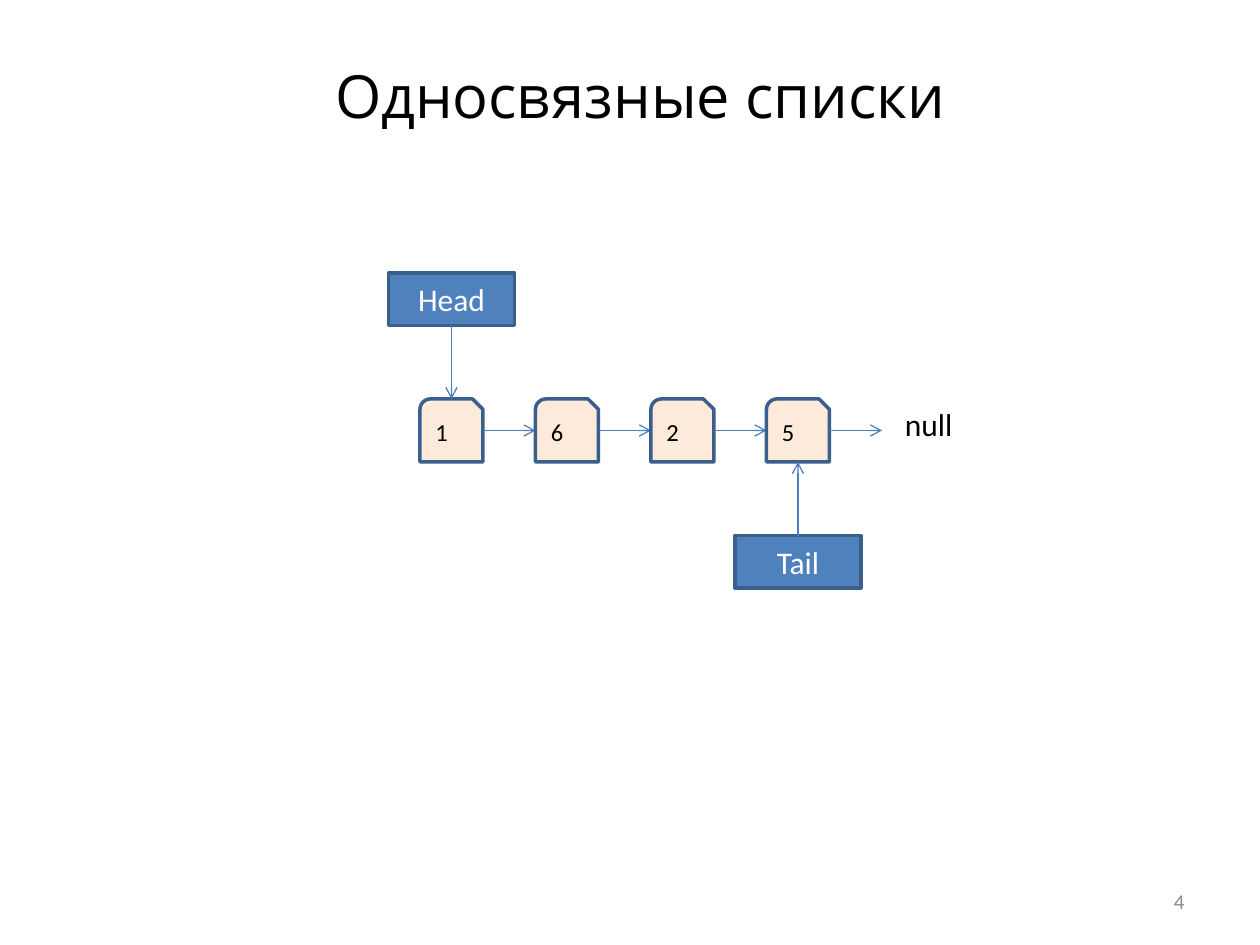
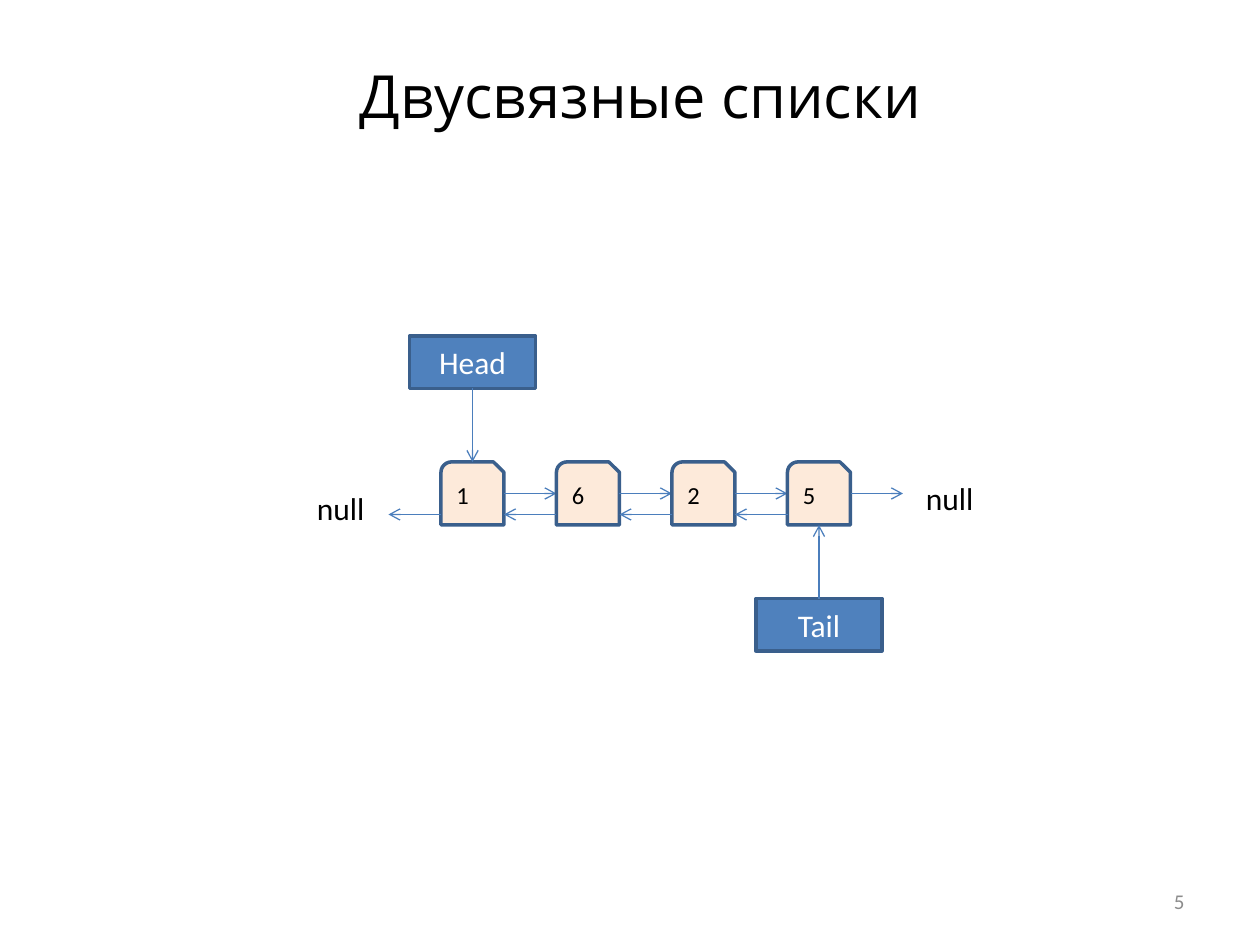
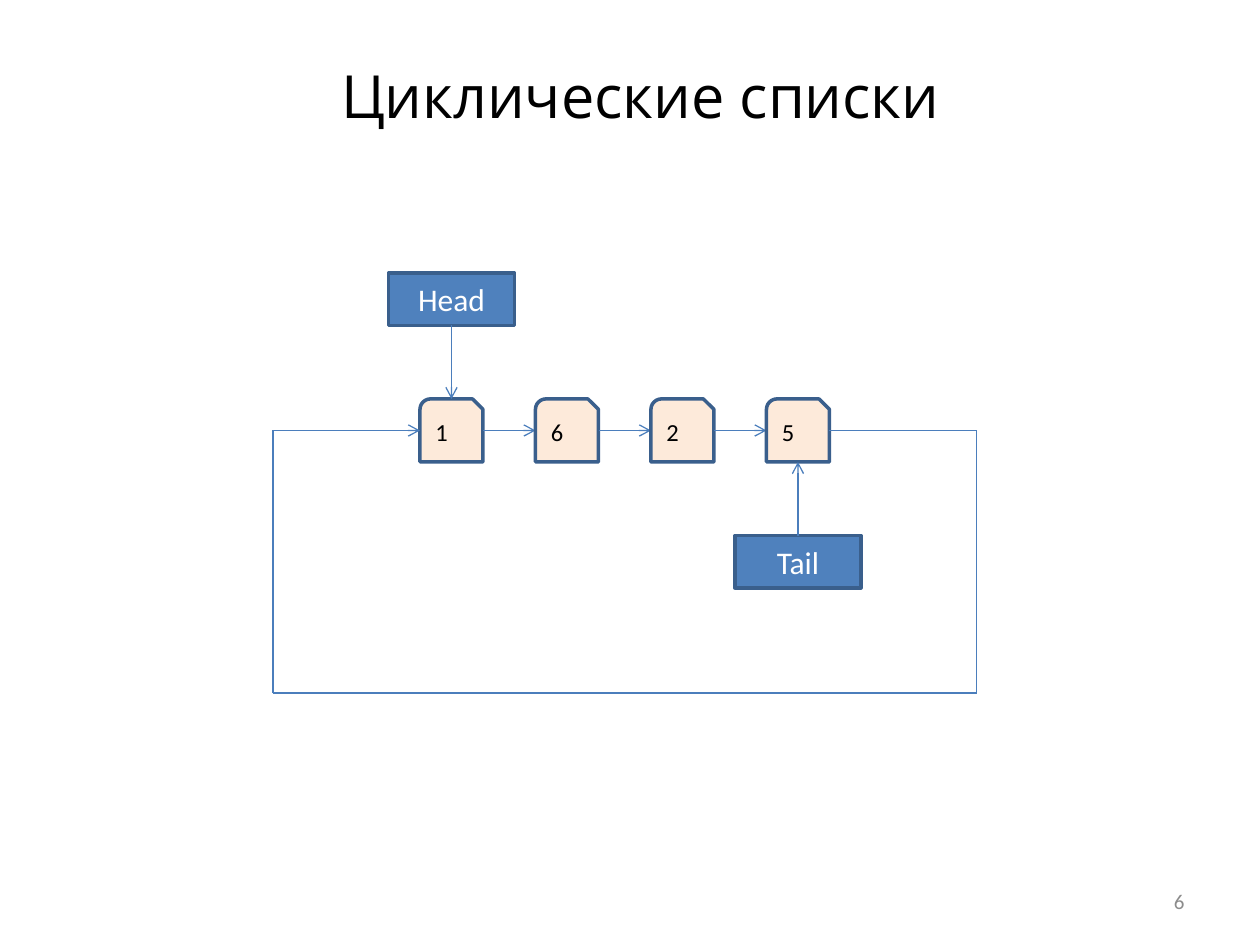
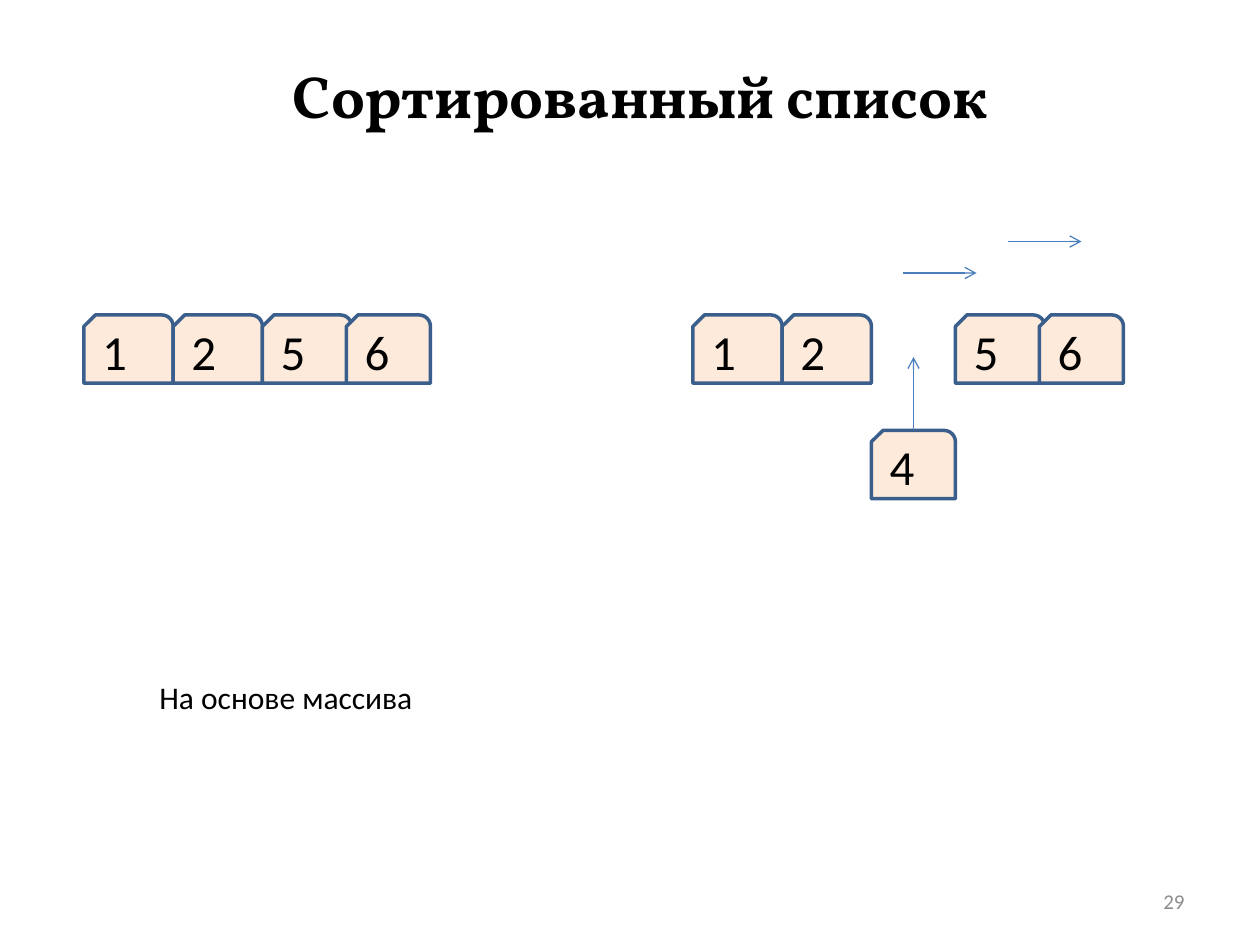
from lxml import etree
from pptx import Presentation
from pptx import util as u
from pptx.dml.color import RGBColor
from pptx.enum import shapes, text
from pptx.oxml import ns

Pt = u.Pt
COLORS = {
    "black": "000000", "white": "FFFFFF", "gray": "8C8C8C",
    "node": "FDEADA", "pointer": "4F81BD", "outline": "3A5F8C", "arrow": "4B7EBC",
}
LEFT, CENTER, RIGHT = text.PP_ALIGN.LEFT, text.PP_ALIGN.CENTER, text.PP_ALIGN.RIGHT
TOP, MIDDLE = text.MSO_ANCHOR.TOP, text.MSO_ANCHOR.MIDDLE

NODE = 36            # side of a list node
PITCH = 66           # distance between the starts of neighbouring nodes
POINTER_W, POINTER_H = 72, 30
LABEL_H = 29


def color(name):
    return RGBColor.from_string(COLORS[name])


def set_values(target, values):
    for name, value in values.items():
        setattr(target, name, value)


class Deck:
    """Holds the shared style and the slide being drawn."""

    def __init__(self):
        self.presentation = Presentation()
        set_values(self.presentation, {"slide_width": Pt(720), "slide_height": Pt(540)})
        self.slide = None

    def new_slide(self, title, number, font="Open Sans", bold=False):
        self.slide = self.presentation.slides.add_slide(self.presentation.slide_layouts[6])
        self.text_box(title, 72, 30, 588, 42, size=34, font=font, bold=bold, align=CENTER)
        self.text_box(str(number), 516, 500.4, 168, LABEL_H, size=12, ink="gray",
                      align=RIGHT, anchor=MIDDLE)

    def fill_text(self, shape, words, size=18, font="Calibri", ink="black", bold=False,
                  align=LEFT, anchor=TOP, wrap=True):
        set_values(shape.text_frame, {"word_wrap": wrap, "vertical_anchor": anchor})
        paragraph = shape.text_frame.paragraphs[0]
        paragraph.alignment = align
        run = paragraph.add_run()
        run.text = words
        set_values(run.font, {"size": Pt(size), "name": font, "bold": bold})
        run.font.color.rgb = color(ink)

    def text_box(self, words, x, y, width, height, **style):
        shape = self.slide.shapes.add_textbox(Pt(x), Pt(y), Pt(width), Pt(height))
        self.fill_text(shape, words, **style)
        return shape

    def label(self, words, x, y, width):
        shape = self.text_box(words, x, y, width, LABEL_H, wrap=False)
        shape.text_frame.auto_size = text.MSO_AUTO_SIZE.SHAPE_TO_FIT_TEXT

    def box(self, kind, words, x, y, width, height, fill, **style):
        shape = self.slide.shapes.add_shape(kind, Pt(x), Pt(y), Pt(width), Pt(height))
        shape.shadow.inherit = False
        shape.fill.solid()
        shape.fill.fore_color.rgb = color(fill)
        shape.line.color.rgb = color("outline")
        shape.line.width = Pt(2)
        self.fill_text(shape, words, anchor=MIDDLE, **style)
        return shape

    def node(self, words, x, y, width=NODE, height=NODE, size=14, flip=False):
        shape = self.box(shapes.MSO_SHAPE.SNIP_ROUND_RECTANGLE, words, x, y,
                         width, height, "node", size=size)
        if flip:
            shape._element.spPr.get_or_add_xfrm().set("flipH", "1")

    def pointer(self, words, x, y):
        self.box(shapes.MSO_SHAPE.RECTANGLE, words, x, y, POINTER_W, POINTER_H,
                 "pointer", ink="white", align=CENTER)

    def line(self, start, end, arrow=True):
        connector = self.slide.shapes.add_connector(
            shapes.MSO_CONNECTOR.STRAIGHT, *map(Pt, start + end))
        connector.line.color.rgb = color("arrow")
        connector.line.width = Pt(0.75)
        if arrow:
            outline = connector._element.spPr.find(ns.qn("a:ln"))
            etree.SubElement(outline, ns.qn("a:tailEnd"), type="arrow")
        etree.SubElement(connector._element.spPr, ns.qn("a:effectLst"))

    def linked_list(self, values, x, y, open_end=True, back_links=False):
        """Nodes in a row, with Head above the first and Tail below the last."""
        middle, back = y + NODE / 2, y + 30
        last = x + PITCH * (len(values) - 1)
        for index, value in enumerate(values):
            left = x + PITCH * index
            self.node(value, left, y)
            if left < last or open_end:
                self.line((left + NODE, middle), (left + PITCH, middle))
            if back_links:
                self.line((left, back), (left + NODE - PITCH, back))
        inset = (POINTER_W - NODE) / 2
        head_y, tail_y = y - 72, y + 78
        self.pointer("Head", x - inset, head_y)
        self.pointer("Tail", last - inset, tail_y)
        self.line((x + NODE / 2, head_y + POINTER_H), (x + NODE / 2, y))
        self.line((last + NODE / 2, tail_y), (last + NODE / 2, y + NODE))

    def array(self, values, x, y, gap=0):
        """Cells side by side; the gap opens before the third cell."""
        cells = zip(values, (0, 51, 102, 150), (51, 51, 51, 48))
        for index, (value, offset, width) in enumerate(cells):
            shift = gap if index >= 2 else 0
            self.cell(value, x + offset + shift, y, width)

    def cell(self, value, x, y, width):
        self.node(value, x, y, width, 39, size=28, flip=True)


deck = Deck()
LIST = "1625"

# Singly linked list
deck.new_slide("Односвязные списки", 4)
deck.linked_list(LIST, 240, 228)
deck.label("null", 510, 228, 42)

# Doubly linked list
deck.new_slide("Двусвязные списки", 5)
deck.linked_list(LIST, 252, 264, back_links=True)
deck.label("null", 522, 270, 42)
deck.label("null", 174, 276, 42)

# Circular list: the last node leads back to the first
deck.new_slide("Циклические списки", 6)
deck.linked_list(LIST, 240, 228, open_end=False)
route = [(474, 246), (558, 246), (558, 396), (156, 396), (156, 246), (240, 246)]
for start, end in zip(route, route[1:]):
    deck.line(start, end, arrow=end == route[-1])

# Sorted list in an array: cells move right to admit a new value
deck.new_slide("Сортированный список", 29, font="Vollkorn", bold=True)
deck.array("1256", 48, 180)
deck.array("1256", 396, 180, gap=48)
deck.cell("4", 498, 246, 48)
deck.line((522, 246), (522, 204))
for x, y in ((516, 156), (576, 138)):
    deck.line((x, y), (x + 42, y))
deck.label("На основе массива", 84, 384, 160.5)

deck.presentation.save("out.pptx")
